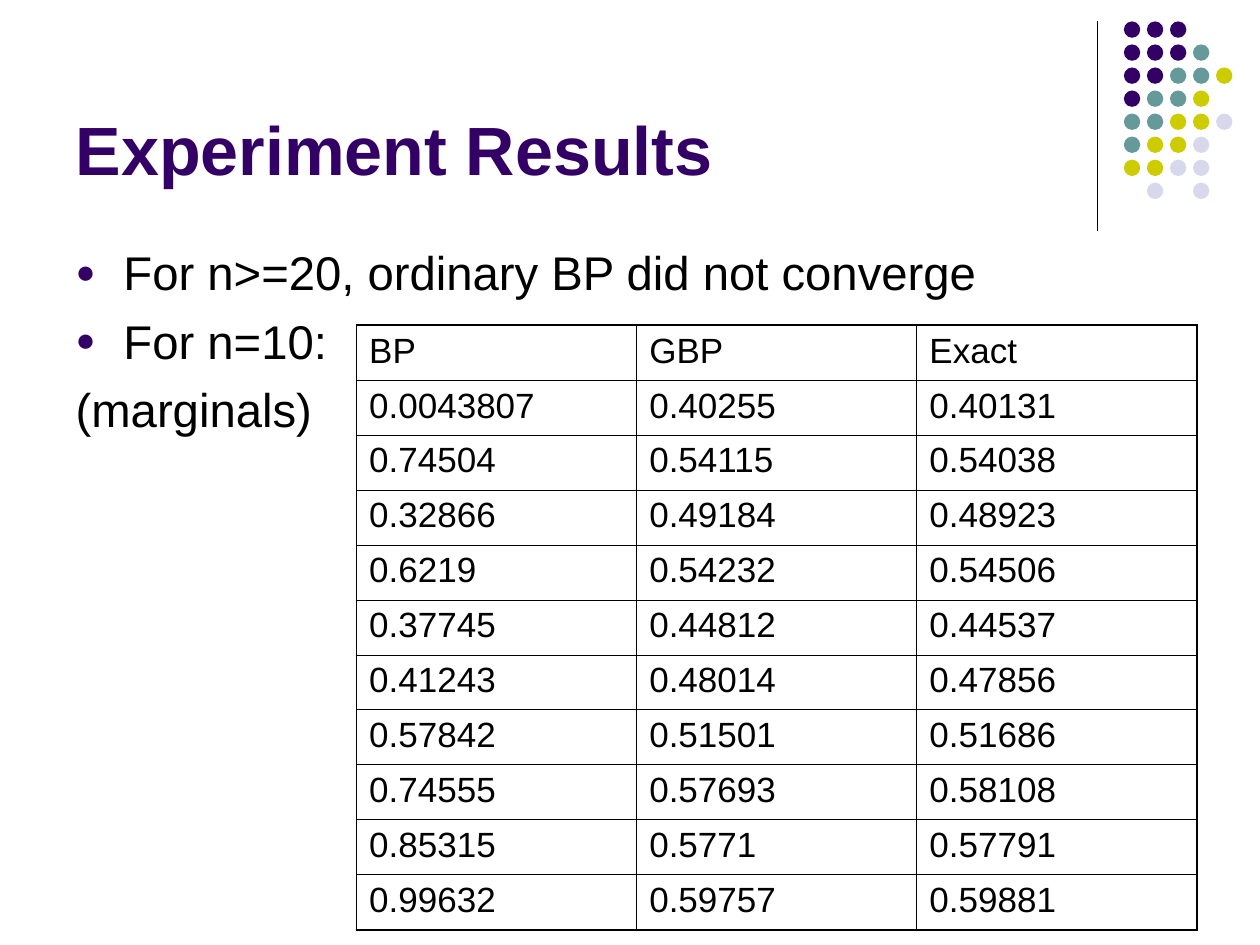
from dataclasses import dataclass

from lxml.etree import SubElement
from pptx import Presentation
from pptx.dml.color import RGBColor
from pptx.enum.shapes import MSO_CONNECTOR, MSO_SHAPE
from pptx.enum.text import MSO_ANCHOR, MSO_AUTO_SIZE, PP_ALIGN
from pptx.oxml.ns import qn
from pptx.slide import Slide
from pptx.util import Inches, Pt


@dataclass(frozen=True)
class Theme:
    font: str = "Arial"
    ink: str = "000000"
    purple: str = "330066"
    teal: str = "669999"
    yellow: str = "CCCC00"
    lavender: str = "D8D8EC"
    title_size: float = 39
    body_size: float = 27
    table_size: float = 20
    rule_width: float = 0.75
    outer_border: float = 1.08
    inner_border: float = 0.45


@dataclass(frozen=True)
class Box:
    left: float
    top: float
    width: float
    height: float


@dataclass(frozen=True)
class Point:
    text: str
    bulleted: bool = True


THEME = Theme()
TITLE_BOX = Box(0.5, 0.13, 8.25, 1.42)
BODY_BOX = Box(0.5, 1.88, 9, 4.82)
TABLE_BOX = Box(2.83, 2.58, 6.67, 4.8)

POINTS = [
    Point("For n>=20, ordinary BP did not converge"),
    Point("For n=10:"),
    Point("(marginals)", bulleted=False),
]

MARGINALS = [
    ("BP", "GBP", "Exact"),
    ("0.0043807", "0.40255", "0.40131"),
    ("0.74504", "0.54115", "0.54038"),
    ("0.32866", "0.49184", "0.48923"),
    ("0.6219", "0.54232", "0.54506"),
    ("0.37745", "0.44812", "0.44537"),
    ("0.41243", "0.48014", "0.47856"),
    ("0.57842", "0.51501", "0.51686"),
    ("0.74555", "0.57693", "0.58108"),
    ("0.85315", "0.5771", "0.57791"),
    ("0.99632", "0.59757", "0.59881"),
]

# One letter per dot: P purple, T teal, Y yellow, L lavender
DOT_ROWS = ["PPP", "PPPT", "PPTTY", "PTTY", "TTYYL", "TYYL", "YYLL", " L L"]
DOT_COLORS = {"P": THEME.purple, "T": THEME.teal, "Y": THEME.yellow, "L": THEME.lavender}
DOT_LEFT, DOT_TOP, DOT_PITCH, DOT_SIZE = 8.92, 0.17, 0.18, 0.13
DOT_PITCH = 1.28 / 7


def rgb(color: str) -> RGBColor:
    return RGBColor.from_string(color)


def set_font(paragraph, size: float, color: str, bold: bool = False) -> None:
    font = paragraph.font
    font.name, font.size, font.bold = THEME.font, Pt(size), bold
    font.color.rgb = rgb(color)


def place(shape, box: Box) -> None:
    shape.left, shape.top = Inches(box.left), Inches(box.top)
    shape.width, shape.height = Inches(box.width), Inches(box.height)


def set_bullet(paragraph, bulleted: bool) -> None:
    """Give the paragraph a hanging indent, with or without a purple bullet."""
    properties = paragraph._p.get_or_add_pPr()
    properties.set("marL", str(Inches(0.38)))
    properties.set("indent", str(Inches(-0.38)))
    if not bulleted:
        SubElement(properties, qn("a:buNone"))
        return
    bullet_color = SubElement(properties, qn("a:buClr"))
    SubElement(bullet_color, qn("a:srgbClr"), val=THEME.purple)
    SubElement(properties, qn("a:buSzPct"), val="70000")
    SubElement(properties, qn("a:buChar"), char="●")


def draw_rule(slide: Slide) -> None:
    rule = slide.shapes.add_connector(
        MSO_CONNECTOR.STRAIGHT, Inches(8.71), Inches(0.17), Inches(8.71), Inches(1.83)
    )
    rule.line.color.rgb = rgb(THEME.ink)
    rule.line.width = Pt(THEME.rule_width)
    SubElement(rule._element.spPr, qn("a:effectLst"))


def draw_dots(slide: Slide) -> None:
    dots = slide.shapes.add_group_shape()
    for row, letters in enumerate(DOT_ROWS):
        for column, letter in enumerate(letters):
            if letter == " ":
                continue
            dot = dots.shapes.add_shape(
                MSO_SHAPE.OVAL,
                Inches(DOT_LEFT + column * DOT_PITCH),
                Inches(DOT_TOP + row * DOT_PITCH),
                Inches(DOT_SIZE),
                Inches(DOT_SIZE),
            )
            dot.shadow.inherit = False
            dot.fill.solid()
            dot.fill.fore_color.rgb = rgb(DOT_COLORS[letter])
            dot.line.fill.background()


def write_title(slide: Slide, text: str) -> None:
    title = slide.shapes.title
    place(title, TITLE_BOX)
    frame = title.text_frame
    frame.text = text
    frame.auto_size = MSO_AUTO_SIZE.NONE
    frame.vertical_anchor = MSO_ANCHOR.BOTTOM
    heading = frame.paragraphs[0]
    heading.alignment = PP_ALIGN.LEFT
    set_font(heading, THEME.title_size, THEME.purple, bold=True)


def write_points(slide: Slide, points: list[Point]) -> None:
    body = slide.placeholders[1]
    place(body, BODY_BOX)
    frame = body.text_frame
    frame.text = "\n".join(point.text for point in points)
    frame.auto_size = MSO_AUTO_SIZE.NONE
    for index, (paragraph, point) in enumerate(zip(frame.paragraphs, points)):
        set_bullet(paragraph, point.bulleted)
        paragraph.space_before = Pt(6.8 if index else 0)
        set_font(paragraph, THEME.body_size, THEME.ink)


def set_borders(cell, outer_sides: dict[str, bool]) -> None:
    """Draw the four borders, heavier on the sides that lie on the table's edge."""
    properties = cell._tc.get_or_add_tcPr()
    for side, is_outer in outer_sides.items():
        width = THEME.outer_border if is_outer else THEME.inner_border
        border = SubElement(properties, qn(f"a:{side}"), w=str(Pt(width)))
        fill = SubElement(border, qn("a:solidFill"))
        SubElement(fill, qn("a:srgbClr"), val=THEME.ink)


def draw_table(slide: Slide, rows: list[tuple[str, ...]]) -> None:
    row_count, column_count = len(rows), len(rows[0])
    box = TABLE_BOX
    table = slide.shapes.add_table(
        row_count, column_count,
        Inches(box.left), Inches(box.top), Inches(box.width), Inches(box.height),
    ).table
    table.first_row = table.horz_banding = False
    for row, values in enumerate(rows):
        for column, value in enumerate(values):
            cell = table.cell(row, column)
            cell.text = value
            set_font(cell.text_frame.paragraphs[0], THEME.table_size, THEME.ink)
            set_borders(cell, {
                "lnL": column == 0,
                "lnR": column == column_count - 1,
                "lnT": row == 0,
                "lnB": row == row_count - 1,
            })
            cell.fill.background()


def main() -> None:
    presentation = Presentation()
    presentation.slide_width, presentation.slide_height = Inches(10), Inches(7.5)
    slide = presentation.slides.add_slide(presentation.slide_layouts[1])
    draw_rule(slide)
    draw_dots(slide)
    write_title(slide, "Experiment Results")
    write_points(slide, POINTS)
    draw_table(slide, MARGINALS)
    presentation.save("out.pptx")


if __name__ == "__main__":
    main()
